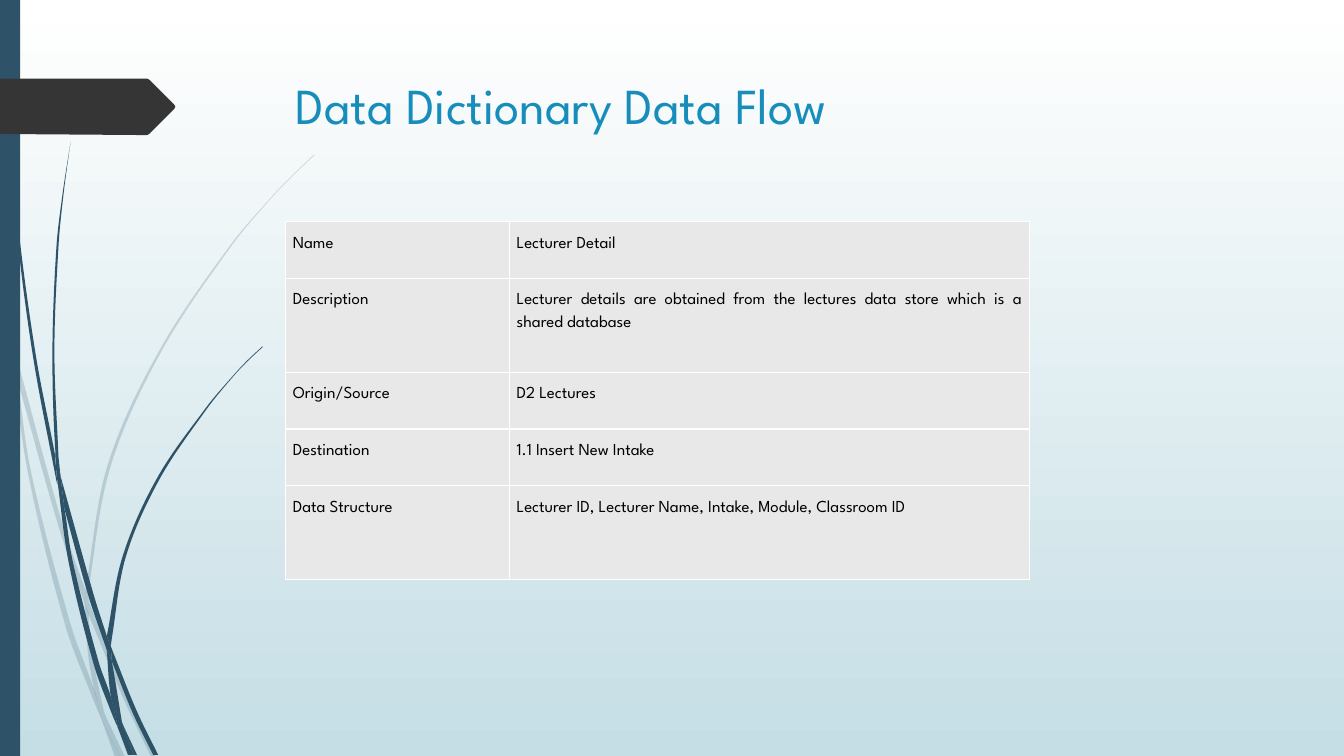
import math

import lxml.etree
import pptx
import pptx.dml.color
import pptx.enum.shapes
import pptx.enum.text
import pptx.oxml.ns
import pptx.util

Cm = pptx.util.Cm
Pt = pptx.util.Pt
rgb = pptx.dml.color.RGBColor.from_string
qn = pptx.oxml.ns.qn

COLORS = {"sky": "FFFFFF", "mist": "C5DEE5", "stem": "2E5369", "tag": "353535",
          "title": "178DBB", "text": "000000", "cell": "E8E8E8", "border": "FFFFFF"}
FONT = "League Spartan"
FINE = 100  # builder units per outline unit
GRID = Cm(0.0254) / FINE


def write(frame, text, size, color, align, line_spacing=1.0, space_after=0):
    frame.text = text
    paragraph = frame.paragraphs[0]
    paragraph.alignment = align
    paragraph.line_spacing = line_spacing
    paragraph.space_after = Pt(space_after)
    font = paragraph.runs[0].font
    font.name = FONT
    font.size = Pt(size)
    font.color.rgb = rgb(color)


def add_outline(shapes, edges, color, opacity=100):
    """Join edges by straight lines; each edge is a smooth curve through its points."""
    points, curve_starts = [], []
    for edge in edges:
        points.append(edge[0])
        padded = [edge[0], *edge, edge[-1]]
        for a, b, c, d in zip(padded, padded[1:], padded[2:], padded[3:]):
            curve_starts.append(len(points) - 1)
            reach = math.dist(b, c) / 3
            out, back = reach / math.dist(a, c), reach / math.dist(b, d)
            points += [(b[0] + out * (c[0] - a[0]), b[1] + out * (c[1] - a[1])),
                       (c[0] - back * (d[0] - b[0]), c[1] - back * (d[1] - b[1])), c]
    points = [(x * FINE, y * FINE) for x, y in points]
    builder = shapes.build_freeform(*points[0], scale=GRID)
    builder.add_line_segments(points[1:], close=True)
    outline = builder.convert_to_shape()
    lines = list(outline._element.iter(qn("a:lnTo")))
    for start in curve_starts:
        first, *others = lines[start:start + 3]
        bezier = lxml.etree.Element(qn("a:cubicBezTo"))
        first.addprevious(bezier)
        for line in (first, *others):
            bezier.append(line[0])
            line.getparent().remove(line)
    outline.shadow.inherit = False
    outline.line.fill.background()
    outline.fill.solid()
    outline.fill.fore_color.rgb = rgb(color)
    if opacity < 100:
        tint = next(outline._element.spPr.iter(qn("a:srgbClr")))
        lxml.etree.SubElement(tint, qn("a:alpha"), val=str(opacity * 1000))


presentation = pptx.Presentation()
presentation.slide_width = Cm(33.87)
presentation.slide_height = Cm(19.05)
slide = presentation.slides.add_slide(presentation.slide_layouts[5])

# Background gradient, top to bottom
backdrop = slide.background.fill
backdrop.gradient()
backdrop.gradient_angle = 270
for stop, name in zip(backdrop.gradient_stops, ("sky", "mist")):
    stop.color.rgb = rgb(COLORS[name])

# Grass blades: each section is a list of edges
pale_grass = [
    [[(11, 350), (9, 322), (0, 282)], [(0, 299), (10, 344), (11, 350)]],
    [[(14, 345), (62, 520), (85, 586)], [(84, 599), (58, 522), (17, 376)]],
    [[(88, 596), (92, 607), (127, 692), (155, 751)], [(150, 751), (123, 694), (88, 610)]],
    [[(105, 711), (124, 751)], [(119, 751)]],
    [[(11, 350), (17, 376), (31, 469), (70, 619), (93, 683), (99, 707), (101, 714)],
     [(92, 693), (65, 621), (28, 470), (11, 350)]],
    [[(84, 599), (87, 646), (93, 683), (96, 692), (105, 711)],
     [(103, 706), (91, 646), (88, 610)], [(88, 608)]],
    [[(85, 584), (107, 461), (158, 348), (228, 244), (268, 197), (289, 175), (312, 153)],
     [(312, 154), (290, 175), (268, 198), (229, 245), (160, 349), (110, 462), (88, 584),
      (88, 596)], [(85, 586)]],
    [[(101, 714), (114, 751)], [(119, 751)]],
    [[(88, 610), (88, 596)], [(85, 586), (84, 599)]],
    [[(93, 683), (99, 707), (101, 714), (119, 751)], [(105, 711), (96, 692), (93, 683)]],
]
dark_grass = [
    [[(3, 0), (4, 48), (7, 110), (17, 233), (33, 355), (56, 477), (57, 481)],
     [(55, 457), (55, 453), (36, 355), (19, 232), (8, 109), (5, 48), (4, 0)]],
    [[(60, 472), (93, 590), (106, 631)], [(106, 645), (88, 592), (64, 505)]],
    [[(110, 641), (113, 649), (136, 706), (157, 749)], [(152, 749), (132, 708), (111, 656)]],
    [[(57, 477), (68, 557), (93, 659), (111, 708), (117, 722)],
     [(116, 717), (110, 691), (98, 657), (72, 556), (64, 505), (57, 477)]],
    [[(70, 141), (62, 193), (56, 245), (52, 349), (55, 449), (60, 472)],
     [(58, 453), (54, 349), (58, 245), (63, 193), (70, 141)]],
    [[(122, 719), (136, 749)], [(133, 749)]],
    [[(55, 449), (60, 472)], [(64, 505), (57, 477), (55, 453)]],
    [[(106, 631), (122, 551), (156, 474), (204, 405), (231, 373), (245, 358), (260, 344)],
     [(261, 344), (245, 359), (231, 374), (205, 406), (158, 476), (125, 552), (111, 633),
      (110, 641)]],
    [[(117, 722), (131, 749)], [(127, 749)]],
    [[(106, 645), (110, 691), (116, 706), (122, 719)], [(121, 716), (111, 656), (109, 651)]],
    [[(106, 631), (106, 645)], [(109, 651), (111, 656)], [(110, 641)]],
    [[(110, 691), (116, 717), (117, 722), (130, 749)], [(133, 749), (122, 719), (116, 706)]],
]
for sections, opacity in ((pale_grass, 20), (dark_grass, 100)):
    grass = slide.shapes.add_group_shape()
    for section in sections:
        add_outline(grass.shapes, section, COLORS["stem"], opacity)

# Side bar and arrow tag
side_bar = slide.shapes.add_shape(pptx.enum.shapes.MSO_SHAPE.RECTANGLE, 0, 0, Cm(0.51), Cm(19.05))
side_bar.shadow.inherit = False
side_bar.fill.solid()
side_bar.fill.fore_color.rgb = rgb(COLORS["stem"])
side_bar.line.fill.background()
add_outline(slide.shapes, [[(173, 104), (174, 106), (173, 108)], [(148, 133), (146, 134)],
                           [(136, 134)], [(0, 133)], [(0, 78)], [(146, 78), (148, 79)]],
            COLORS["tag"])

# Title
title = slide.shapes.title
title.left, title.top, title.width, title.height = Cm(7.2), Cm(1.73), Cm(24.77), Cm(3.56)
title.text_frame.vertical_anchor = pptx.enum.text.MSO_ANCHOR.TOP
write(title.text_frame, "Data Dictionary Data Flow", size=36, color=COLORS["title"],
      align=pptx.enum.text.PP_ALIGN.LEFT)

# Data flow table
entries = [
    ("Name", "Lecturer Detail"),
    ("Description", "Lecturer details are obtained from the lectures data store "
                    "which is a shared database"),
    ("Origin/Source", "D2 Lectures"),
    ("Destination", "1.1 Insert New Intake"),
    ("Data Structure", "Lecturer ID, Lecturer Name, Intake, Module, Classroom ID"),
]
row_heights = [1.43, 2.37, 1.43, 1.43, 2.37]
dictionary = slide.shapes.add_table(len(entries), 2, Cm(7.2), Cm(5.58), Cm(18.75), Cm(9.03)).table
dictionary.first_row = False
dictionary.horz_banding = False
for column, width in zip(dictionary.columns, (5.64, 13.11)):
    column.width = Cm(width)
for row, height, entry in zip(dictionary.rows, row_heights, entries):
    row.height = Cm(height)
    for cell, text in zip(row.cells, entry):
        cell.margin_left = cell.margin_right = cell.margin_top = cell.margin_bottom = Cm(0.18)
        write(cell.text_frame, text, size=12, color=COLORS["text"],
              align=pptx.enum.text.PP_ALIGN.JUSTIFY, line_spacing=1.5, space_after=6)
        properties = cell._tc.get_or_add_tcPr()
        for side in ("a:lnL", "a:lnR", "a:lnT", "a:lnB"):
            border = lxml.etree.SubElement(properties, qn(side), w=str(Pt(1)))
            paint = lxml.etree.SubElement(border, qn("a:solidFill"))
            lxml.etree.SubElement(paint, qn("a:srgbClr"), val=COLORS["border"])
        cell.fill.solid()
        cell.fill.fore_color.rgb = rgb(COLORS["cell"])

presentation.save("out.pptx")
